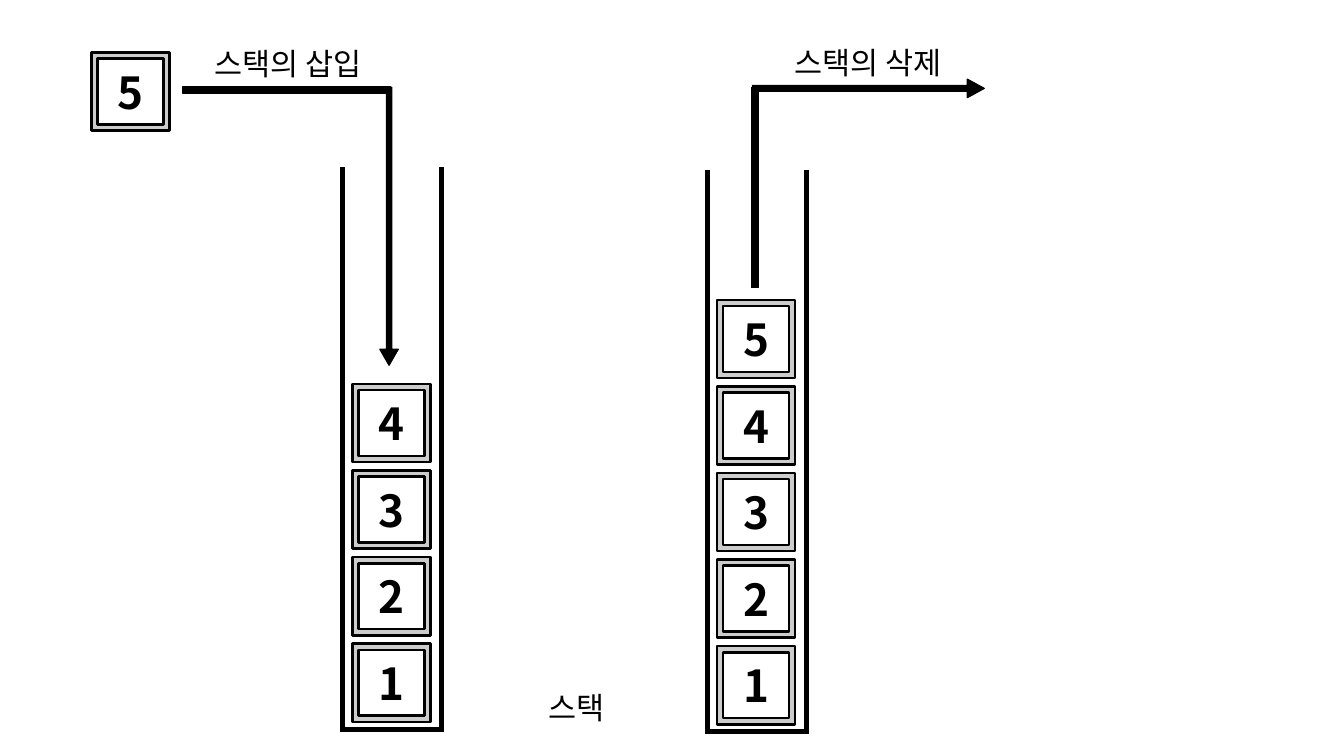
from lxml import etree
from pptx import Presentation
from pptx.dml.color import RGBColor
from pptx.enum import shapes as kinds, text as txt
from pptx.oxml import ns
from pptx.util import Inches, Pt

BLACK = RGBColor(0x00, 0x00, 0x00)
WHITE = RGBColor(0xFF, 0xFF, 0xFF)
GREY = RGBColor(0xCC, 0xCC, 0xCC)
FONT = "Noto Sans CJK KR"
BLOCK, RIM, PITCH = 0.64, 0.05, 0.71
WALL_WIDTH, WALL_HEIGHT, WALL_LINE = 0.81, 4.61, 3.4


def write(frame, words, size, bold=False):
    """Put one centred line of text into a frame."""
    frame.text = words
    line = frame.paragraphs[0]
    line.alignment = txt.PP_ALIGN.CENTER
    font = line.runs[0].font
    font.name, font.size, font.bold = FONT, Pt(size), bold
    font.color.rgb = BLACK
    east_asian = etree.SubElement(line.runs[0]._r.get_or_add_rPr(), ns.qn("a:ea"))
    east_asian.set("typeface", FONT)


def add_filled(slide, kind, box, fill, line_width, rotation=0):
    """Add a flat black-lined shape in the given box."""
    part = slide.shapes.add_shape(kind, *map(Inches, box))
    part.shadow.inherit = False
    part.fill.solid()
    part.fill.fore_color.rgb = fill
    part.line.color.rgb = BLACK
    part.line.width = Pt(line_width)
    part.rotation = rotation
    return part


def add_block(slide, left, top, number):
    """Add a numbered block with a grey rim."""
    process = kinds.MSO_SHAPE.FLOWCHART_PROCESS
    add_filled(slide, process, (left, top, BLOCK, BLOCK), GREY, 1.5)
    inner = BLOCK - 2 * RIM
    face = add_filled(slide, process, (left + RIM, top + RIM, inner, inner), WHITE, 1.5)
    frame = face.text_frame
    frame.word_wrap = False
    frame.vertical_anchor = txt.MSO_ANCHOR.MIDDLE
    frame.margin_left = frame.margin_right = Inches(0.11)
    frame.margin_top = frame.margin_bottom = Inches(0.06)
    write(frame, str(number), 26, bold=True)


def add_walls(slide, left, top):
    """Add the open-topped container as a one-cell table."""
    box = map(Inches, (left, top, WALL_WIDTH, WALL_HEIGHT))
    walls = slide.shapes.add_table(1, 1, *box).table
    walls.first_row = walls.horz_banding = False
    cell = walls.cell(0, 0)
    cell.fill.background()
    properties = cell._tc.get_or_add_tcPr()
    for place, side in enumerate(("lnL", "lnR", "lnT", "lnB")):
        border = etree.Element(ns.qn("a:" + side))
        if side == "lnT":
            etree.SubElement(border, ns.qn("a:noFill"))
        else:
            border.set("w", str(Pt(WALL_LINE)))
            fill = etree.SubElement(border, ns.qn("a:solidFill"))
            etree.SubElement(fill, ns.qn("a:srgbClr")).set("val", str(BLACK))
        properties.insert(place, border)


def add_stack(slide, left, top, count):
    """Add a container holding blocks numbered from the bottom up."""
    add_walls(slide, left, top)
    for level in range(count):
        add_block(slide, left + 0.08, top + 3.91 - level * PITCH, level + 1)


def add_label(slide, box, words):
    """Add a caption centred in its box."""
    label = slide.shapes.add_textbox(*map(Inches, box))
    label.text_frame.word_wrap = True
    write(label.text_frame, words, 18)


def add_bent_arrow(slide, bar, head, adjustments, rotation=0):
    """Add a bar that continues in an arrow."""
    arrow = add_filled(slide, kinds.MSO_SHAPE.RIGHT_ARROW, head, BLACK, 0.79, rotation)
    for index, value in enumerate(adjustments):
        arrow.adjustments[index] = value
    add_filled(slide, kinds.MSO_SHAPE.RECTANGLE, bar, BLACK, 0)


def add_insertion(slide, left, top):
    """Draw the push of block 5 onto a stack of four."""
    add_stack(slide, left + 2.06, top + 0.94, 4)
    add_block(slide, left, top, 5)
    add_bent_arrow(slide, (left + 0.75, top + 0.28, 1.7, 0.06),
                   (left + 1.3, top + 1.35, 2.28, 0.15), (0.285, 0.872), 90)
    add_label(slide, (left + 0.75, top - 0.11, 1.73, 0.46), "스택의 삽입")


def add_deletion(slide, left, top):
    """Draw the pop of block 5 from a stack of five."""
    add_stack(slide, left, top, 5)
    add_bent_arrow(slide, (left + 0.36, top - 0.67, 0.06, 1.64),
                   (left + 0.37, top - 0.74, 1.9, 0.15), (0.307, 0.914))
    add_label(slide, (left + 0.37, top - 1.08, 1.9, 0.46), "스택의 삭제")


def main():
    """Build the stack slide and save it."""
    deck = Presentation()
    deck.slide_width, deck.slide_height = Inches(11.02), Inches(6.2)
    slide = deck.slides.add_slide(deck.slide_layouts[6])
    add_insertion(slide, 0.75, 0.43)
    add_deletion(slide, 5.8, 1.39)
    add_label(slide, (3.7, 5.6, 2.05, 0.46), "스택")
    deck.save("out.pptx")


if __name__ == "__main__":
    main()
